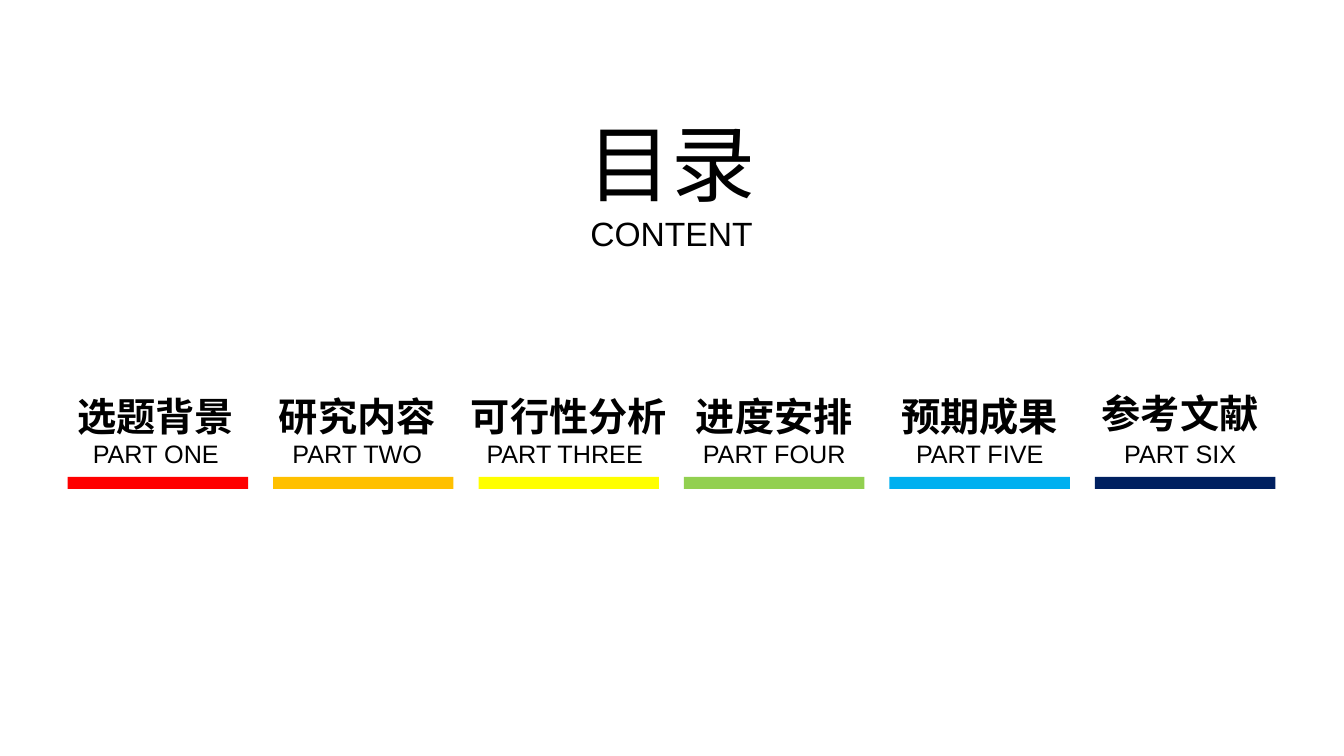
from pptx import Presentation
from pptx.dml.color import RGBColor as RGB
from pptx.enum.shapes import MSO_SHAPE as Shape
from pptx.enum.text import MSO_AUTO_SIZE as Fit, PP_ALIGN as Align
from pptx.util import Inches, Pt

BLACK = RGB(0x00, 0x00, 0x00)
RED = RGB(0xFF, 0x00, 0x00)
ORANGE = RGB(0xFF, 0xC0, 0x00)
YELLOW = RGB(0xFF, 0xFF, 0x00)
GREEN = RGB(0x92, 0xD0, 0x50)
BLUE = RGB(0x00, 0xB0, 0xF0)
NAVY = RGB(0x00, 0x20, 0x60)

LEFT, TOP, STEP = 0.67, 3.7, 2.038
BAR_W, BAR_H = 1.79, 0.12

# name, label, colour, name shift, label shift, name rise
PARTS = [
    ("选题背景", "PART ONE", RED, -0.02, -0.02, 0),
    ("研究内容", "PART TWO", ORANGE, -0.06, -0.06, 0),
    ("可行性分析", "PART THREE", YELLOW, 0, -0.04, 0),
    ("进度安排", "PART FOUR", GREEN, 0, 0, 0),
    ("预期成果", "PART FIVE", BLUE, 0, 0, 0),
    ("参考文献", "PART SIX", NAVY, -0.05, -0.05, 0.03),
]


def add_text(slide, x, y, w, h, lines, wrap=True, space=None, bold=False):
    """Place centred lines, each a (text, size) pair, in one text box."""
    box = slide.shapes.add_textbox(Inches(x), Inches(y), Inches(w), Inches(h))
    frame = box.text_frame
    frame.word_wrap = wrap
    frame.auto_size = Fit.SHAPE_TO_FIT_TEXT
    for i, (text, size) in enumerate(lines):
        para = frame.add_paragraph() if i else frame.paragraphs[0]
        para.text = text
        para.alignment = Align.CENTER
        if space:
            para.line_spacing = space
        font = para.font
        font.name, font.size, font.bold = "Arial", Pt(size), bold
        font.color.rgb = BLACK


def add_title(slide, x, y, w, h):
    add_text(slide, x, y, w, h, [("目录", 60), ("CONTENT", 24)], wrap=False)


def add_part(slide, x, y, w, part):
    """Stack a part's name and label above its coloured bar."""
    name, label, colour, shift, nudge, rise = part
    mid = x + w / 2
    wide = 2.38 if len(name) > 4 else 1.92
    add_text(slide, mid + nudge - 0.94, y + 0.51, 1.88, 0.45,
             [(label, 18)], space=1.3)
    add_text(slide, mid + shift - wide / 2, y - rise, wide, 0.65,
             [(name, 28)], space=1.3, bold=True)
    bar = slide.shapes.add_shape(Shape.RECTANGLE, Inches(x), Inches(y + 1.03),
                                 Inches(w), Inches(BAR_H))
    bar.shadow.inherit = False
    bar.fill.solid()
    bar.fill.fore_color.rgb = colour
    bar.line.fill.background()


def main():
    deck = Presentation()
    deck.slide_width, deck.slide_height = Inches(13.33), Inches(7.5)
    slide = deck.slides.add_slide(deck.slide_layouts[6])
    add_title(slide, 5.72, 1.06, 1.88, 1.51)
    for i, part in enumerate(PARTS):
        add_part(slide, LEFT + i * STEP, TOP, BAR_W, part)
    deck.save("out.pptx")


if __name__ == "__main__":
    main()
